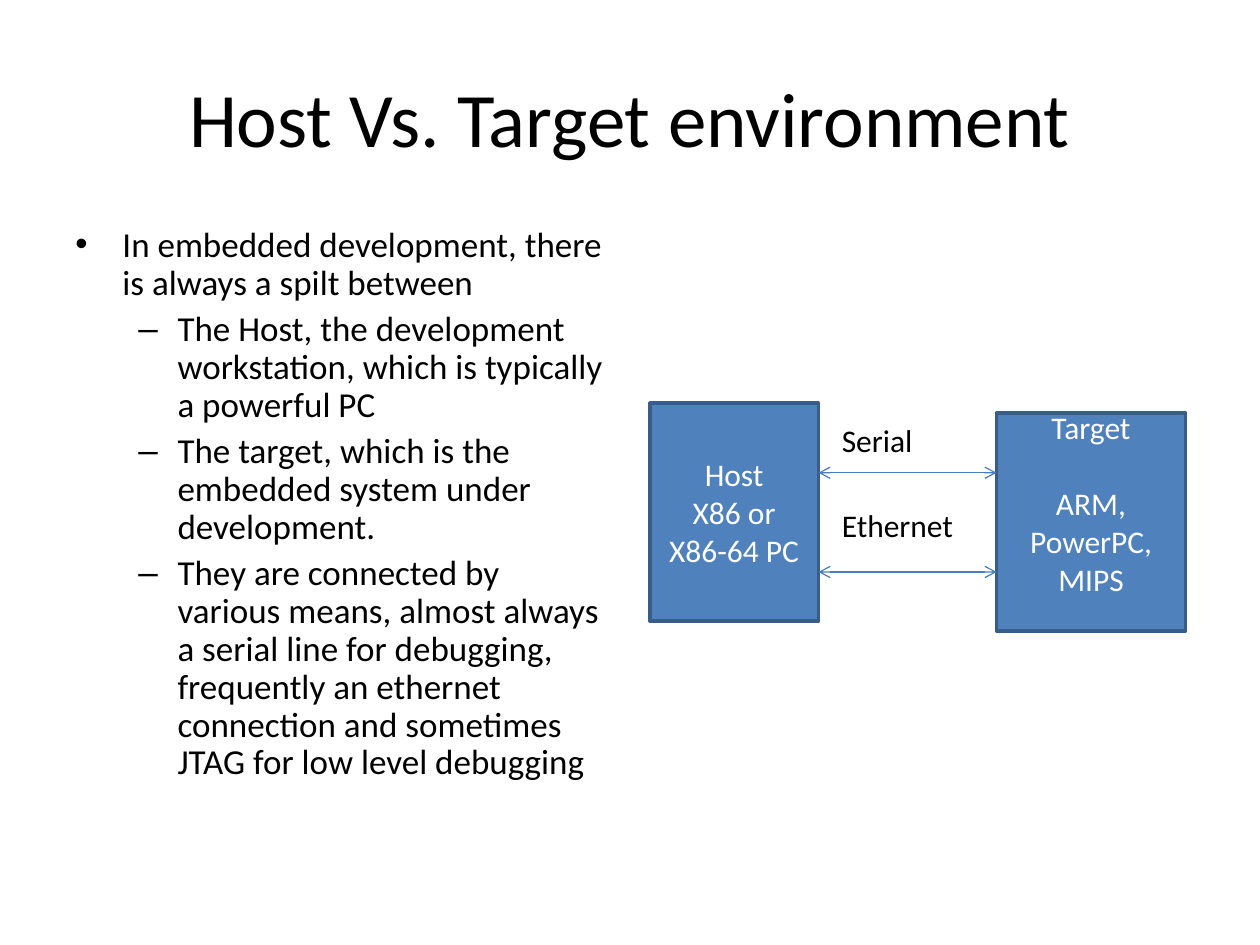
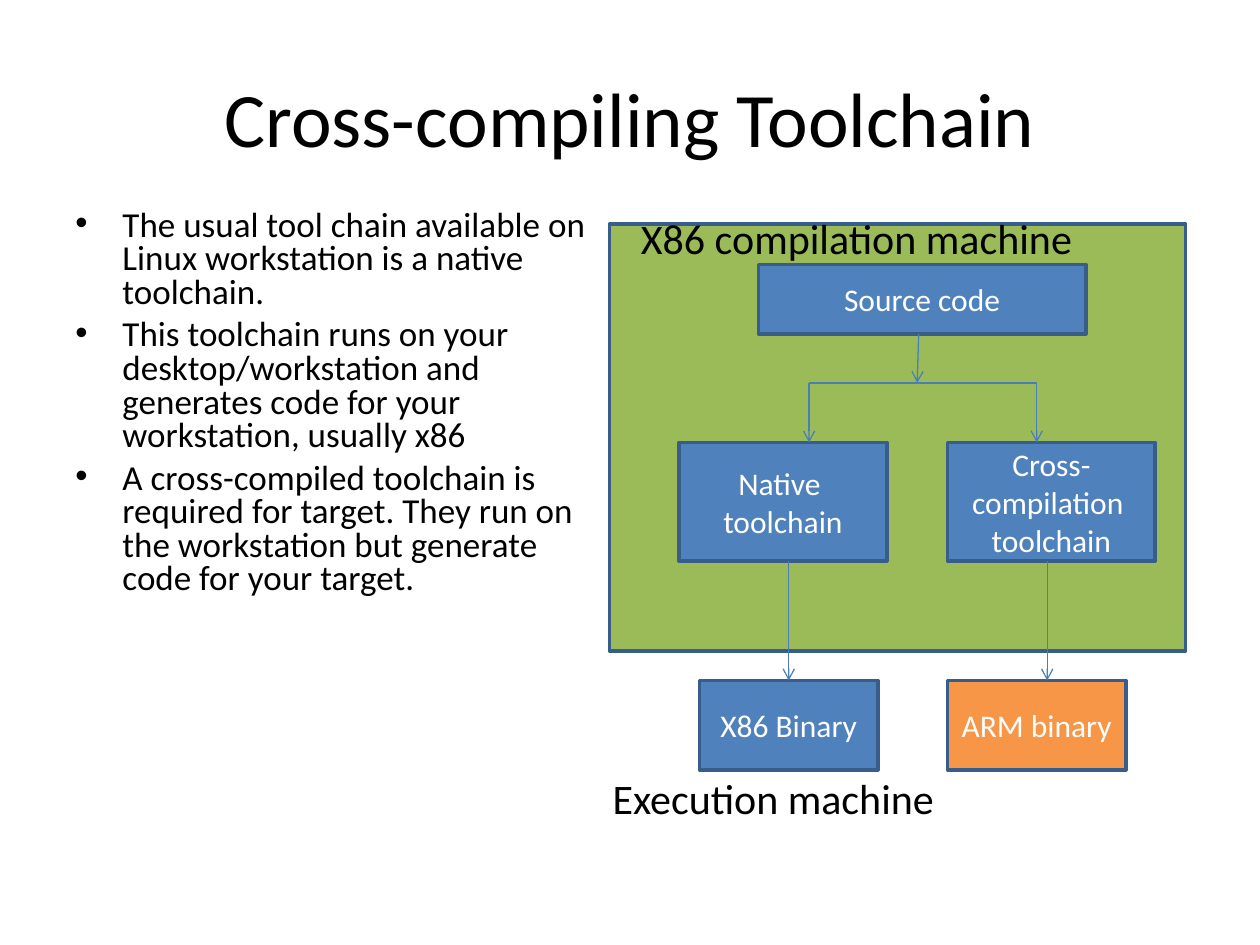
from dataclasses import dataclass

import pptx
import pptx.dml.color
import pptx.enum.shapes
import pptx.enum.text
import pptx.oxml
import pptx.oxml.ns
import pptx.presentation
import pptx.shapes.autoshape
import pptx.slide
import pptx.util

Cm = pptx.util.Cm
Pt = pptx.util.Pt
Align = pptx.enum.text.PP_ALIGN
Anchor = pptx.enum.text.MSO_ANCHOR

COLORS = {
    "text": "000000",
    "box_text": "FFFFFF",
    "blue": "4F81BD",
    "border": "385D8A",
    "connector": "4A7EBB",
    "green": "9BBB59",
    "orange": "F79646",
}
FONT = "Calibri"
LEVELS = [("•", 0.95, -0.95), ("–", 2.06, -0.79)]


@dataclass(frozen=True)
class Item:
    text: str
    level: int | None = None
    space_before: float = 0


@dataclass(frozen=True)
class Area:
    left: float
    top: float
    width: float
    height: float

    def lengths(self) -> list[pptx.util.Cm]:
        return [Cm(value) for value in (self.left, self.top, self.width, self.height)]


@dataclass(frozen=True)
class Box:
    area: Area
    items: tuple[Item, ...] = ()
    fill: str = "blue"
    bottom_inset: float = 0.13


@dataclass(frozen=True)
class Line:
    start: tuple[float, float]
    end: tuple[float, float]
    head: bool = False
    tail: bool = True


TITLE_AREA = Area(1.27, 0.76, 22.86, 3.18)


def color(name: str) -> pptx.dml.color.RGBColor:
    return pptx.dml.color.RGBColor.from_string(COLORS[name])


def add_xml(parent, tag: str, attributes: str = "", children: str = "") -> None:
    namespace = pptx.oxml.ns.nsdecls("a")
    parent.append(pptx.oxml.parse_xml(f"<a:{tag} {namespace} {attributes}>{children}</a:{tag}>"))


def add_bullet(paragraph, level: int) -> None:
    symbol, margin, indent = LEVELS[level]
    paragraph.level = level
    properties = paragraph._p.get_or_add_pPr()
    properties.set("marL", str(Cm(margin)))
    properties.set("indent", str(Cm(indent)))
    add_xml(properties, "buClr", children=f'<a:srgbClr val="{COLORS["text"]}"/>')
    add_xml(properties, "buFont", 'typeface="Arial"')
    add_xml(properties, "buChar", f'char="{symbol}"')


def write_text(
    shape: pptx.shapes.autoshape.Shape,
    items: tuple[Item, ...],
    *,
    size: float,
    color_name: str = "text",
    align: Align = Align.LEFT,
    anchor: Anchor = Anchor.MIDDLE,
    line_spacing: float = 1.0,
    side_inset: float = 0.25,
    bottom_inset: float = 0.13,
) -> None:
    frame = shape.text_frame
    frame.word_wrap = True
    frame.vertical_anchor = anchor
    frame.margin_left = frame.margin_right = Cm(side_inset)
    frame.margin_top = Cm(0.13)
    frame.margin_bottom = Cm(bottom_inset)
    for index, item in enumerate(items):
        paragraph = frame.paragraphs[0] if index == 0 else frame.add_paragraph()
        paragraph.alignment = align
        paragraph.line_spacing = line_spacing
        paragraph.space_before = Pt(item.space_before if index else 0)
        if item.level is not None:
            add_bullet(paragraph, item.level)
        run = paragraph.add_run()
        run.text = item.text
        run.font.name = FONT
        run.font.size = Pt(size)
        run.font.color.rgb = color(color_name)


def add_text(slide: pptx.slide.Slide, area: Area, items: tuple[Item, ...], **text_format) -> None:
    write_text(slide.shapes.add_textbox(*area.lengths()), items, **text_format)


def add_label(slide: pptx.slide.Slide, text: str, area: Area, size: float) -> None:
    add_text(slide, area, (Item(text),), size=size, side_inset=0)


def add_box(slide: pptx.slide.Slide, box: Box) -> None:
    rectangle = pptx.enum.shapes.MSO_SHAPE.RECTANGLE
    shape = slide.shapes.add_shape(rectangle, *box.area.lengths())
    shape.shadow.inherit = False
    shape.fill.solid()
    shape.fill.fore_color.rgb = color(box.fill)
    shape.line.color.rgb = color("border")
    shape.line.width = Pt(2)
    write_text(shape, box.items, size=18, color_name="box_text",
               align=Align.CENTER, bottom_inset=box.bottom_inset)


def add_line(slide: pptx.slide.Slide, line: Line) -> None:
    straight = pptx.enum.shapes.MSO_CONNECTOR.STRAIGHT
    ends = [Cm(value) for value in line.start + line.end]
    connector = slide.shapes.add_connector(straight, *ends)
    connector.line.color.rgb = color("connector")
    connector.line.width = Pt(0.75)
    properties = connector.element.spPr
    outline = properties.find(pptx.oxml.ns.qn("a:ln"))
    for tag, shown in (("headEnd", line.head), ("tailEnd", line.tail)):
        if shown:
            add_xml(outline, tag, 'type="arrow"')
    add_xml(properties, "effectLst")


def add_slide(presentation: pptx.presentation.Presentation, title: str) -> pptx.slide.Slide:
    slide = presentation.slides.add_slide(presentation.slide_layouts[6])
    add_text(slide, TITLE_AREA, (Item(title),), size=44, align=Align.CENTER)
    return slide


def add_bullets(
    slide: pptx.slide.Slide, top: float, bullets: list[tuple[int, str]], line_spacing: float
) -> None:
    items = tuple(Item(text, level, 5) for level, text in bullets)
    add_text(slide, Area(1.27, top, 11.22, 17.02 - top), items, size=20,
             anchor=Anchor.TOP, line_spacing=line_spacing)


def build_environment(presentation: pptx.presentation.Presentation) -> None:
    slide = add_slide(presentation, "Host Vs. Target environment")
    add_bullets(slide, 4.45, [
        (0, "In embedded development, there is always a spilt between"),
        (1, "The Host, the development workstation, which is typically a powerful PC"),
        (1, "The target, which is the embedded system under development."),
        (1, "They are connected by various means, almost always a serial line for debugging, "
            "frequently an ethernet connection and sometimes JTAG for low level debugging"),
    ], 0.9)
    host = Area(13.1, 8.13, 3.4, 4.39)
    target = Area(20.09, 8.33, 3.81, 4.39)
    add_box(slide, Box(host, (Item("Host"), Item("X86 or X86-64 PC"))))
    target_items = (Item("Target"), Item("ARM,", space_before=22), Item("PowerPC, MIPS"))
    add_box(slide, Box(target, target_items, bottom_inset=0.9))
    for name, label_top, line_top in (("Serial", 8.4, 9.53), ("Ethernet", 10.1, 11.53)):
        add_label(slide, name, Area(16.97, label_top, 3, 0.95), 18)
        start = (host.left + host.width, line_top)
        add_line(slide, Line(start, (target.left, line_top), head=True))


def build_toolchain(presentation: pptx.presentation.Presentation) -> None:
    slide = add_slide(presentation, "Cross-compiling Toolchain")
    add_box(slide, Box(Area(12.29, 4.52, 11.61, 8.61), fill="green"))
    add_bullets(slide, 4.11, [
        (0, "The usual tool chain available on Linux workstation is a native toolchain."),
        (0, "This toolchain runs on your desktop/workstation and generates code for your "
            "workstation, usually x86"),
        (0, "A cross-compiled toolchain is required for target. They run on the workstation "
            "but generate code for your target."),
    ], 0.8)
    add_label(slide, "X86 compilation machine", Area(12.92, 4.2, 11, 1.2), 24)
    add_label(slide, "Execution machine", Area(12.35, 15.48, 11, 1.2), 24)

    source = Area(15.29, 5.33, 6.6, 1.4)
    add_box(slide, Box(source, (Item("Source code"),)))
    toolchain_top, toolchain_height, binary_top = 8.92, 2.39, 13.72
    fork_top = 7.72
    fork_left, fork_right = 16.31, 20.9
    branches = [
        (13.69, "Native ", 14.1, "X86 Binary", "blue", fork_left, 15.9),
        (19.1, "Cross-compilation ", 19.1, "ARM binary", "orange", fork_right, 21.11),
    ]
    for toolchain_left, kind, binary_left, binary, fill, fork_x, output_x in branches:
        toolchain = Area(toolchain_left, toolchain_top, 4.19, toolchain_height)
        add_box(slide, Box(toolchain, (Item(kind), Item("toolchain"))))
        add_box(slide, Box(Area(binary_left, binary_top, 3.6, 1.8), (Item(binary),), fill))
        add_line(slide, Line((fork_x, fork_top), (fork_x, toolchain_top)))
        toolchain_bottom = toolchain_top + toolchain_height
        add_line(slide, Line((output_x, toolchain_bottom), (output_x, binary_top)))
    add_line(slide, Line((fork_left, fork_top), (fork_right, fork_top), tail=False))
    add_line(slide, Line((18.52, source.top + source.height), (18.49, fork_top)))


def main() -> None:
    presentation = pptx.Presentation()
    presentation.slide_width = Cm(25.4)
    presentation.slide_height = Cm(19.05)
    build_environment(presentation)
    build_toolchain(presentation)
    presentation.save("out.pptx")


if __name__ == "__main__":
    main()
